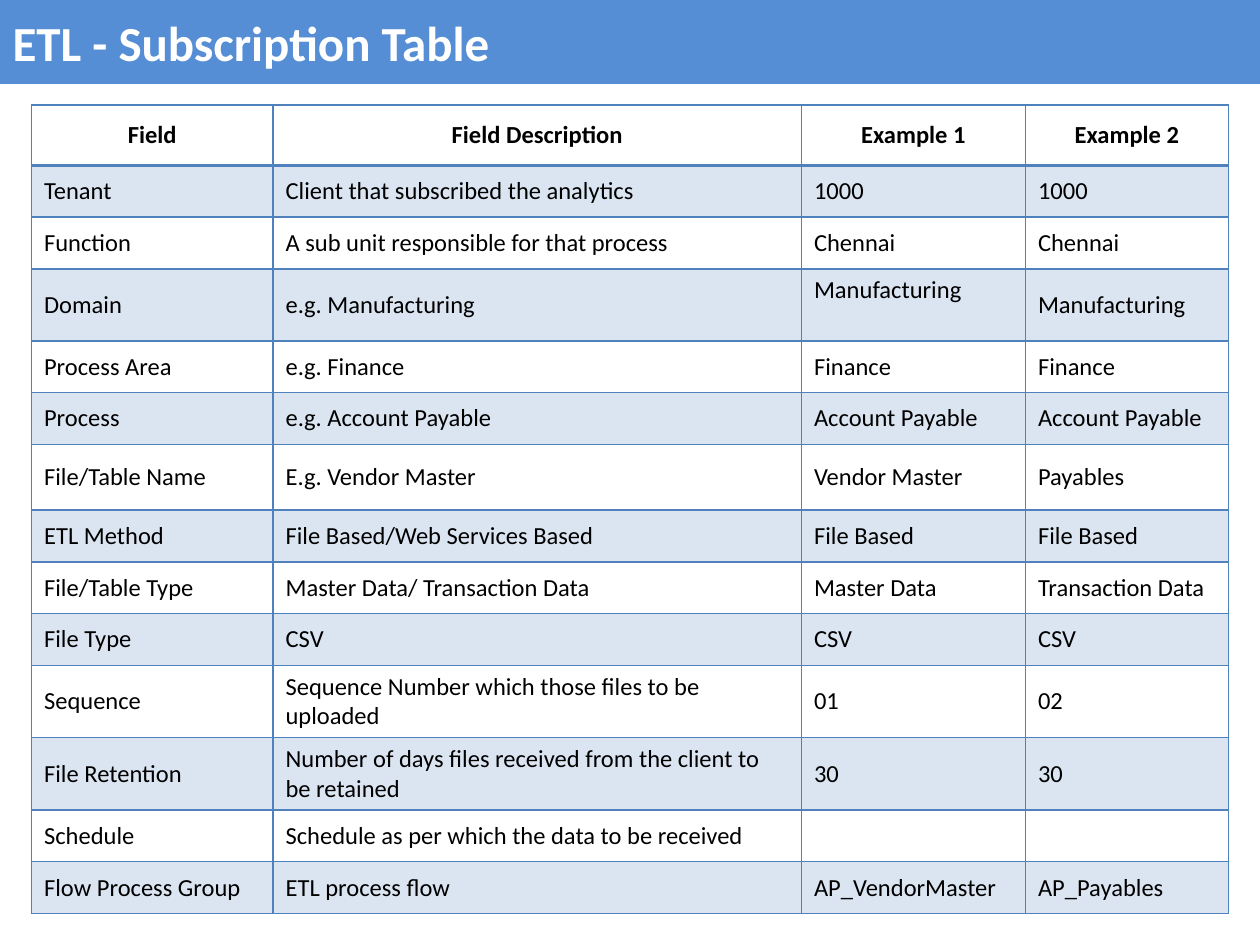
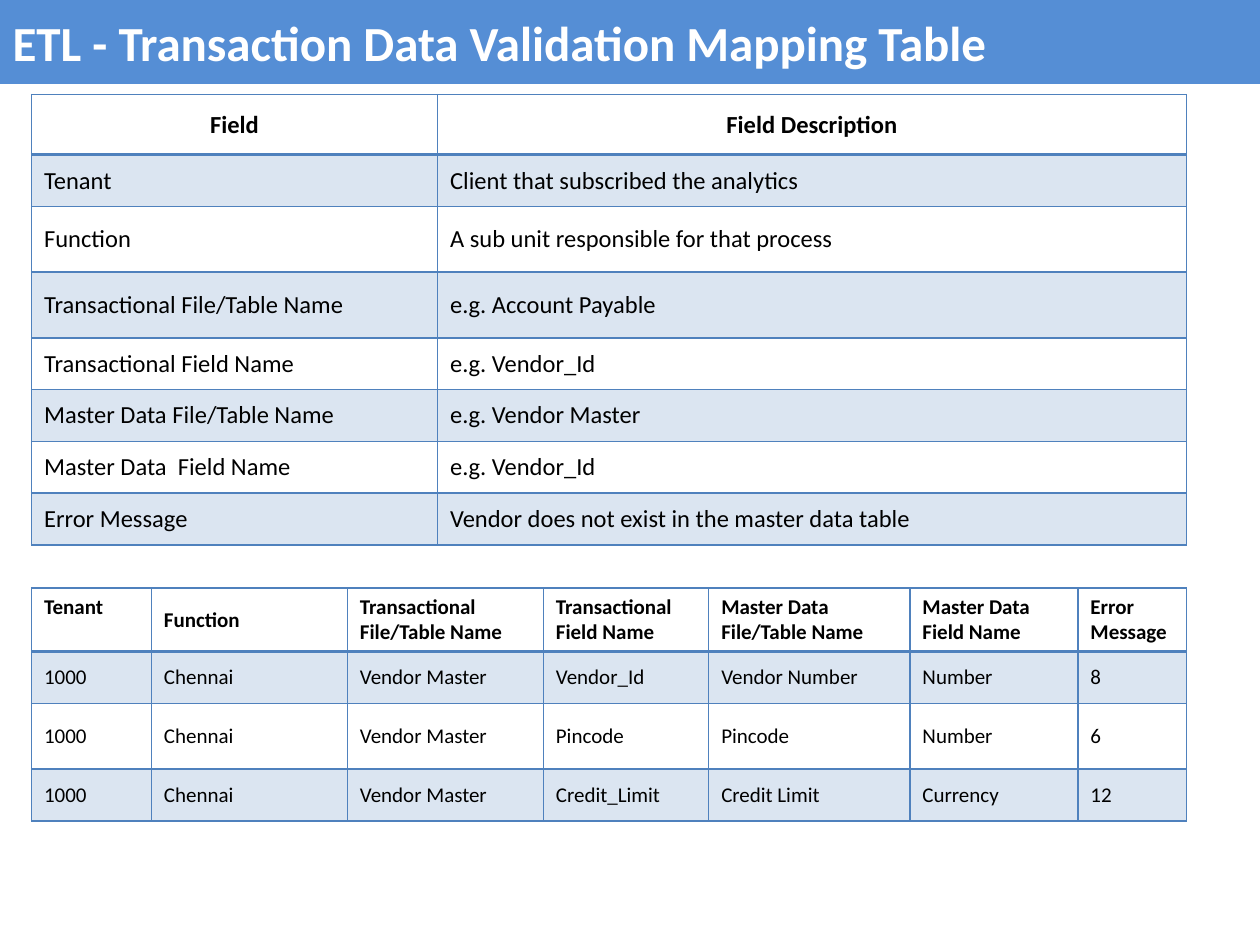
"""Build the two slides that describe the ETL configuration tables."""
from lxml import etree
from pptx import Presentation
from pptx.dml.color import RGBColor
from pptx.enum.text import MSO_ANCHOR, MSO_AUTO_SIZE, PP_ALIGN
from pptx.oxml.ns import qn
from pptx.util import Pt

LEFT, CENTER = PP_ALIGN.LEFT, PP_ALIGN.CENTER
TOP, MIDDLE = MSO_ANCHOR.TOP, MSO_ANCHOR.MIDDLE
NO_AUTOFIT = MSO_AUTO_SIZE.NONE

FONT = "Calibri"
BAND, GRID, INK, WHITE = "558ED5", "4F81BD", "000000", "FFFFFF"
STRIPE_ALPHA = "20000"
TITLE_ONLY = 5
SLIDE_WIDTH, SLIDE_HEIGHT, BAND_HEIGHT = 720, 540, 48
TABLE_LEFT = 18
HEADER, ROW, TALL, DOUBLE = 34.5, 29.6, 37.5, 41.1

SUBSCRIPTION = [
    ("Field", "Field Description", "Example 1", "Example 2"),
    ("Tenant", "Client that subscribed the analytics", "1000", "1000"),
    ("Function", "A sub unit responsible for that process", "Chennai", "Chennai"),
    ("Domain", "e.g. Manufacturing", "Manufacturing", "Manufacturing"),
    ("Process Area", "e.g. Finance", "Finance", "Finance"),
    ("Process", "e.g. Account Payable", "Account Payable", "Account Payable"),
    ("File/Table Name", "E.g. Vendor Master", "Vendor Master", "Payables"),
    ("ETL Method", "File Based/Web Services Based", "File Based", "File Based"),
    ("File/Table Type", "Master Data/ Transaction Data", "Master Data", "Transaction Data"),
    ("File Type", "CSV", "CSV", "CSV"),
    ("Sequence", "Sequence Number which those files to be uploaded", "01", "02"),
    ("File Retention", "Number of days files received from the client to be retained",
     "30", "30"),
    ("Schedule", "Schedule as per which the data to be received", "", ""),
    ("Flow Process Group", "ETL process flow", "AP_VendorMaster", "AP_Payables"),
]
SUBSCRIPTION_HEIGHTS = [HEADER, ROW, ROW, DOUBLE, ROW, ROW, TALL, ROW, ROW, ROW,
                        DOUBLE, DOUBLE, ROW, ROW]

MAPPING = [
    ("Field", "Field Description"),
    ("Tenant", "Client that subscribed the analytics"),
    ("Function", "A sub unit responsible for that process"),
    ("Transactional File/Table Name", "e.g. Account Payable"),
    ("Transactional Field Name", "e.g. Vendor_Id"),
    ("Master Data File/Table Name", "e.g. Vendor Master"),
    ("Master Data  Field Name", "e.g. Vendor_Id"),
    ("Error Message", "Vendor does not exist in the master data table"),
]
MAPPING_HEIGHTS = [HEADER, ROW, TALL, TALL, ROW, ROW, ROW, ROW]

MAPPING_EXAMPLES = [
    ("Tenant", "Function", "Transactional File/Table Name", "Transactional Field Name",
     "Master Data File/Table Name", "Master Data Field Name", "Error Message"),
    ("1000", "Chennai", "Vendor Master", "Vendor_Id", "Vendor Number", "Number", "8"),
    ("1000", "Chennai", "Vendor Master", "Pincode", "Pincode", "Number", "6"),
    ("1000", "Chennai", "Vendor Master", "Credit_Limit", "Credit Limit", "Currency", "12"),
]
EXAMPLE_HEIGHTS = [36.5, ROW, TALL, ROW]


def paint(fill, color):
    """Fill with a solid hex colour."""
    fill.solid()
    fill.fore_color.rgb = RGBColor.from_string(color)


def write_text(frame, text, size=14, color=INK, bold=False, align=LEFT):
    """Write one formatted paragraph into a text frame."""
    paragraph = frame.paragraphs[0]
    paragraph.alignment = align
    if text:
        run = paragraph.add_run()
        run.text = text
        run.font.name = FONT
        run.font.size = Pt(size)
        run.font.bold = bold
        paint(run.font.fill, color)


def draw_borders(cell, bottom=1):
    """Rule all four sides of a cell, with a chosen bottom width."""
    properties = cell._tc.get_or_add_tcPr()
    for side, width in (("L", 1), ("R", 1), ("T", 1), ("B", bottom)):
        line = etree.SubElement(properties, qn(f"a:ln{side}"), w=str(Pt(width)))
        solid = etree.SubElement(line, qn("a:solidFill"))
        etree.SubElement(solid, qn("a:srgbClr"), val=GRID)


def shade(cell, striped):
    """Tint the cells of striped rows and leave the others clear."""
    if not striped:
        cell.fill.background()
        return
    paint(cell.fill, GRID)
    tint = cell._tc.tcPr.find(qn("a:solidFill")).find(qn("a:srgbClr"))
    etree.SubElement(tint, qn("a:alpha"), val=STRIPE_ALPHA)


def add_field_table(slide, rows, top, widths, heights, size=14, header_align=CENTER,
                    raised=()):
    """Add a ruled table whose raised cells hold their text at the top."""
    table = slide.shapes.add_table(len(rows), len(widths), Pt(TABLE_LEFT), Pt(top),
                                   Pt(sum(widths)), Pt(sum(heights))).table
    table.horz_banding = False
    for column, width in zip(table.columns, widths):
        column.width = Pt(width)
    for r, (values, height) in enumerate(zip(rows, heights)):
        table.rows[r].height = Pt(height)
        is_header = r == 0
        for c, value in enumerate(values):
            cell = table.cell(r, c)
            cell.vertical_anchor = TOP if (r, c) in raised else MIDDLE
            draw_borders(cell, bottom=2 if is_header else 1)
            shade(cell, striped=r % 2 == 1)
            write_text(cell.text_frame, value, size=size, bold=is_header,
                       align=header_align if is_header else LEFT)


def add_titled_slide(deck, text):
    """Add a slide whose title fills the blue band at the top."""
    slide = deck.slides.add_slide(deck.slide_layouts[TITLE_ONLY])
    title = slide.shapes.title
    title.left, title.top = Pt(0), Pt(0)
    title.width, title.height = Pt(SLIDE_WIDTH), Pt(BAND_HEIGHT)
    paint(title.fill, BAND)
    frame = title.text_frame
    frame.auto_size = NO_AUTOFIT
    frame.vertical_anchor = MIDDLE
    write_text(frame, text, size=28, color=WHITE, bold=True)
    return slide


def main():
    """Build both slides and save the deck."""
    deck = Presentation()
    deck.slide_width, deck.slide_height = Pt(SLIDE_WIDTH), Pt(SLIDE_HEIGHT)

    subscription = add_titled_slide(deck, "ETL - Subscription Table")
    add_field_table(subscription, SUBSCRIPTION, 60, [138, 302, 128, 116],
                    SUBSCRIPTION_HEIGHTS, raised={(3, 2)})

    mapping = add_titled_slide(deck, "ETL - Transaction Data Validation Mapping Table")
    add_field_table(mapping, MAPPING, 54, [232, 428], MAPPING_HEIGHTS)
    add_field_table(mapping, MAPPING_EXAMPLES, 336, [68.5, 112, 112, 94.5, 115, 96, 62],
                    EXAMPLE_HEIGHTS, size=12, header_align=LEFT, raised={(0, 0)})

    deck.save("out.pptx")


if __name__ == "__main__":
    main()
